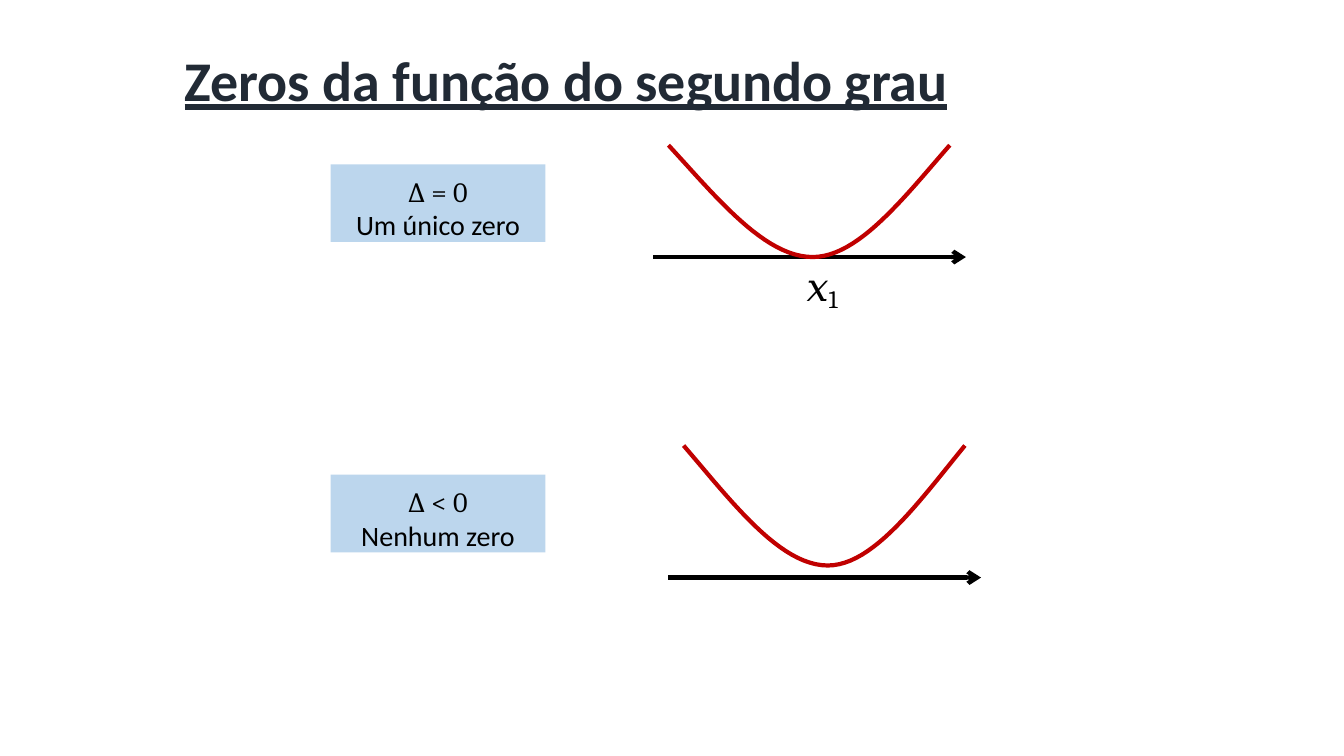
from lxml import etree
from pptx import Presentation
from pptx.dml.color import RGBColor
from pptx.enum.shapes import MSO_CONNECTOR as CONN, MSO_SHAPE as SHAPE
from pptx.enum.text import MSO_ANCHOR as ANCHOR, PP_ALIGN as ALIGN
from pptx.oxml.ns import qn
from pptx.util import Inches, Pt

BLACK, NAVY, RED, PALE_BLUE = "000000", "212A35", "C00000", "BCD6ED"
LABEL_W, LABEL_H = 2.13, 0.77
AXIS_W, CURVE_INSET = 3.1, 0.15
LEFT_ARM, RIGHT_ARM, STEPS = 1.43, 1.36, 24


def rgb(color):
    return RGBColor.from_string(color)


def set_frame(tf, top_inset=0.01):
    tf.margin_left = tf.margin_right = tf.margin_bottom = 0
    tf.margin_top = Inches(top_inset)
    tf.vertical_anchor = ANCHOR.TOP
    tf.word_wrap = True


def add_run(p, text, size, font="Calibri", color=BLACK, **attrs):
    r = p.add_run()
    r.text = text
    r.font.size, r.font.name = Pt(size), font
    r.font.color.rgb = rgb(color)
    for name, value in attrs.items():
        r.font._element.set(name, str(value))
    return r


def add_title(slide, box, text):
    sp = slide.shapes.title
    sp.left, sp.top, sp.width, sp.height = map(Inches, box)
    set_frame(sp.text_frame)
    p = sp.text_frame.paragraphs[0]
    p.alignment = ALIGN.LEFT
    p.line_spacing = 1.0
    r = add_run(p, text, 40, color=NAVY, spc=-5)
    r.font.bold = r.font.underline = True


def add_label(slide, left, top, condition, meaning):
    sp = slide.shapes.add_shape(SHAPE.RECTANGLE, *map(Inches, (left, top, LABEL_W, LABEL_H)))
    sp.shadow.inherit = False
    sp.fill.solid()
    sp.fill.fore_color.rgb = rgb(PALE_BLUE)
    sp.line.fill.background()
    tf = sp.text_frame
    set_frame(tf, 0.1)
    rows = (tf.paragraphs[0], condition, "Cambria", 7), (tf.add_paragraph(), meaning, "Calibri", 0)
    for p, text, font, before in rows:
        p.alignment = ALIGN.CENTER
        p.line_spacing, p.space_before = Pt(23.9), Pt(before)
        add_run(p, text, 20, font)


def add_axis(slide, left, y):
    ends = map(Inches, (left, y, left + AXIS_W, y))
    axis = slide.shapes.add_connector(CONN.STRAIGHT, *ends)
    axis.line.color.rgb = rgb(BLACK)
    axis.line.width = Pt(3)
    ln = axis.line._get_or_add_ln()
    etree.SubElement(ln, qn("a:tailEnd"), type="arrow", w="med", len="med")
    etree.SubElement(axis._element.spPr, qn("a:effectLst"))


def add_parabola(slide, left, top, height):
    # The arms flatten outwards: u is the share of the arm from the vertex
    points = []
    for i in range(-STEPS, STEPS + 1):
        u = abs(i) / STEPS
        arm = LEFT_ARM if i < 0 else RIGHT_ARM
        x = left + LEFT_ARM + arm * i / STEPS
        y = top + height * (1 - u * u * (1.6 - 0.6 * u))
        points.append((Inches(x), Inches(y)))
    builder = slide.shapes.build_freeform(*points[0])
    builder.add_line_segments(points[1:], close=False)
    sp = builder.convert_to_shape()
    sp.shadow.inherit = False
    sp.fill.background()
    sp.line.color.rgb = rgb(RED)
    sp.line.width = Pt(3)


def add_root(slide, left, top):
    tf = slide.shapes.add_textbox(*map(Inches, (left, top, 0.44, 0.49))).text_frame
    set_frame(tf)
    p = tf.paragraphs[0]
    p.space_before = Pt(0.9)
    p._p.get_or_add_pPr().set("marL", str(Inches(0.04)))
    add_run(p, "𝑥", 28, "Cambria", spc=-20)
    add_run(p, "1", 30.8, "Cambria", spc=-40, baseline=-16000)


def add_graph(slide, left, top, height, gap, has_root):
    axis_y = top + height + gap
    add_axis(slide, left, axis_y)
    add_parabola(slide, left + CURVE_INSET, top, height)
    if has_root:
        add_root(slide, left + CURVE_INSET + LEFT_ARM - 0.1, axis_y)


def main():
    prs = Presentation()
    prs.slide_width, prs.slide_height = Inches(13.33), Inches(7.5)
    slide = prs.slides.add_slide(prs.slide_layouts[5])
    add_title(slide, (1.83, 0.44, 9.66, 0.69), "Zeros da função do segundo grau")

    # One zero: the curve touches the axis
    add_label(slide, 3.28, 1.63, "∆ = 0", "Um único zero")
    add_graph(slide, 6.48, 1.44, 1.11, 0, True)

    # No zero: the curve stays above the axis
    add_label(slide, 3.28, 4.71, "∆ < 0", "Nenhum zero")
    add_graph(slide, 6.63, 4.42, 1.19, 0.12, False)

    prs.save("out.pptx")


if __name__ == "__main__":
    main()
